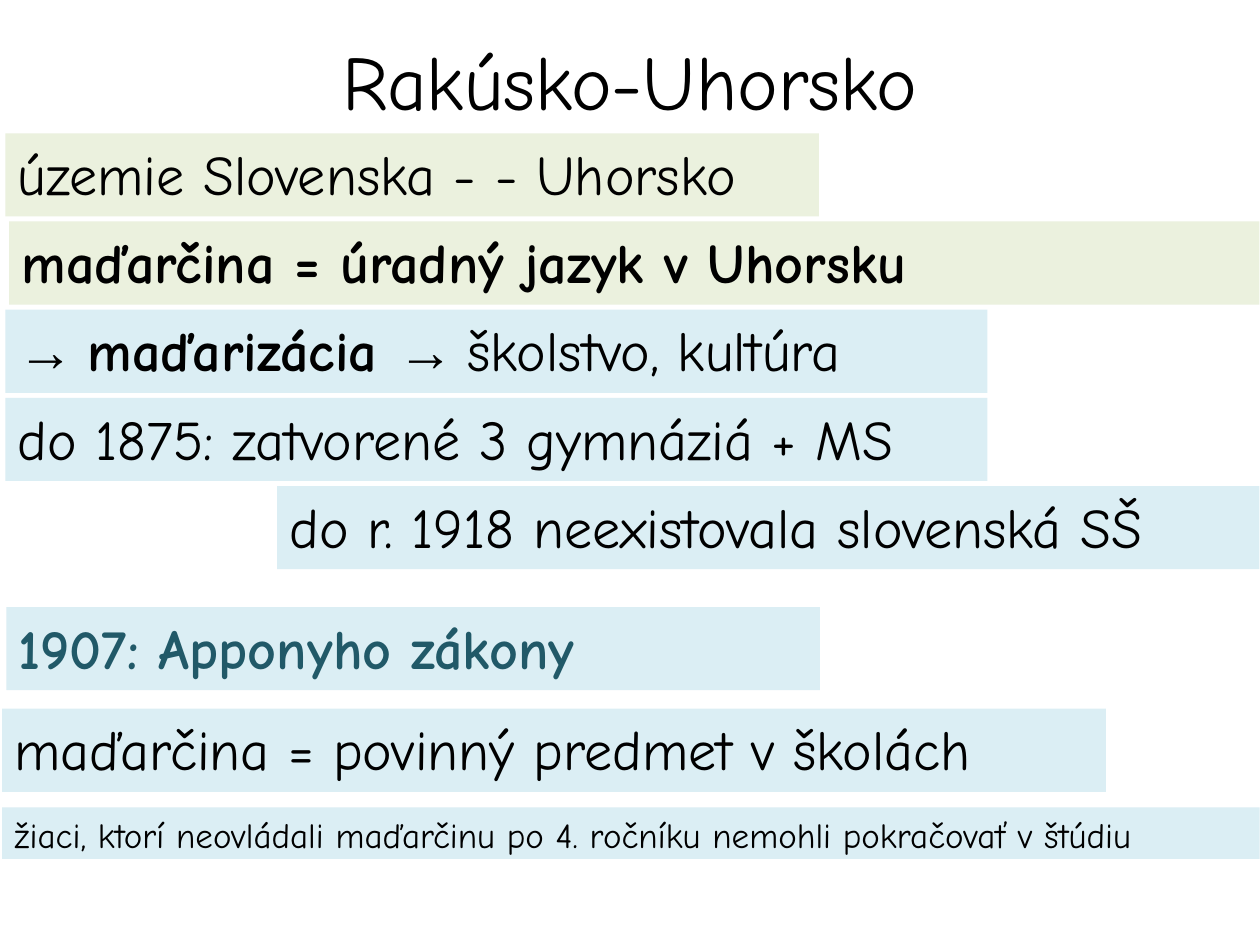
from pptx import Presentation
from pptx.dml.color import RGBColor
from pptx.enum import shapes, text
from pptx.oxml.ns import qn
from pptx.util import Pt

FONT = "Comic Neue"
ARROW_FONT = "Times New Roman"
BLACK, TEAL = "000000", "215968"
GREEN_FILL, BLUE_FILL = "EBF1DE", "DBEEF4"
STRIP_HEIGHT = 47.5


def colour(value):
    return RGBColor.from_string(value)


def add_text(paragraph, wording, size=32, font=FONT, color=BLACK, bold=False):
    run = paragraph.add_run()
    run.text = wording
    run.font.size = Pt(size)
    run.font.name = font
    run.font.bold = bold
    run.font.color.rgb = colour(color)


def place(shape, box):
    shape.left, shape.top, shape.width, shape.height = map(Pt, box)


def build_title(slide, box, wording):
    title = slide.shapes.title
    place(title, box)
    title.text_frame.auto_size = text.MSO_AUTO_SIZE.NONE
    title.text_frame.vertical_anchor = text.MSO_ANCHOR.MIDDLE
    paragraph = title.text_frame.paragraphs[0]
    paragraph.alignment = text.PP_ALIGN.CENTER
    add_text(paragraph, wording, size=44)


def build_strip(shape, box, fill, runs):
    """Format a shape as a coloured strip holding one line of text."""
    place(shape, box)
    shape.fill.solid()
    shape.fill.fore_color.rgb = colour(fill)
    shape.line.fill.background()
    frame = shape.text_frame
    frame.word_wrap = True
    frame.auto_size = text.MSO_AUTO_SIZE.NONE
    frame.vertical_anchor = text.MSO_ANCHOR.TOP
    paragraph = frame.paragraphs[0]
    paragraph.alignment = text.PP_ALIGN.LEFT
    paragraph.space_before = Pt(0)
    for wording, style in runs:
        add_text(paragraph, wording, **style)


def build_body(slide, box, fill, runs):
    """Turn the body placeholder into the first strip, without a bullet."""
    body = slide.placeholders[1]
    properties = body.text_frame.paragraphs[0]._p.get_or_add_pPr()
    properties.set("marL", "0")
    properties.set("indent", "0")
    properties.append(properties.makeelement(qn("a:buNone"), {}))
    build_strip(body, box, fill, runs)


def add_strip(slide, box, fill, runs):
    shape = slide.shapes.add_shape(shapes.MSO_SHAPE.RECTANGLE, *map(Pt, box))
    shape.shadow.inherit = False
    build_strip(shape, box, fill, runs)


def main():
    presentation = Presentation()
    presentation.slide_width, presentation.slide_height = Pt(720), Pt(540)
    slide = presentation.slides.add_slide(presentation.slide_layouts[1])

    build_title(slide, (36, 15, 648, 61.5), "Rakúsko-Uhorsko")

    # Evenly spaced upper strips: the body first, then the rest
    first_top, step = 76.2, 50.4
    build_body(slide, (3, first_top, 465, STRIP_HEIGHT), GREEN_FILL,
               [("územie Slovenska - - Uhorsko", {})])
    arrow = ("→ ", {"font": ARROW_FONT})
    upper_strips = [
        (5.2, 714.5, GREEN_FILL,
         [("maďarčina = úradný jazyk v Uhorsku", {"bold": True})]),
        (3, 561.3, BLUE_FILL,
         [arrow, ("maďarizácia ", {"bold": True}), arrow,
          ("školstvo, kultúra", {})]),
        (3, 561.3, BLUE_FILL, [("do 1875: zatvorené 3 gymnáziá + MS", {})]),
        (158.4, 561.3, BLUE_FILL,
         [("do r. 1918 neexistovala slovenská SŠ", {})]),
    ]
    for row, (left, width, fill, runs) in enumerate(upper_strips, start=1):
        box = (left, first_top + row * step, width, STRIP_HEIGHT)
        add_strip(slide, box, fill, runs)

    # Lower strips on the school laws
    add_strip(slide, (3.6, 346.9, 465, STRIP_HEIGHT), BLUE_FILL,
              [("1907: Apponyho zákony", {"color": TEAL, "bold": True})])
    add_strip(slide, (1.2, 405, 630.8, STRIP_HEIGHT), BLUE_FILL,
              [("maďarčina = povinný predmet v školách", {})])
    add_strip(slide, (1.2, 461.3, 718.6, 29.5), BLUE_FILL,
              [("žiaci, ktorí neovládali maďarčinu po 4. ročníku nemohli "
                "pokračovať v štúdiu", {"size": 20})])

    presentation.save("out.pptx")


if __name__ == "__main__":
    main()
